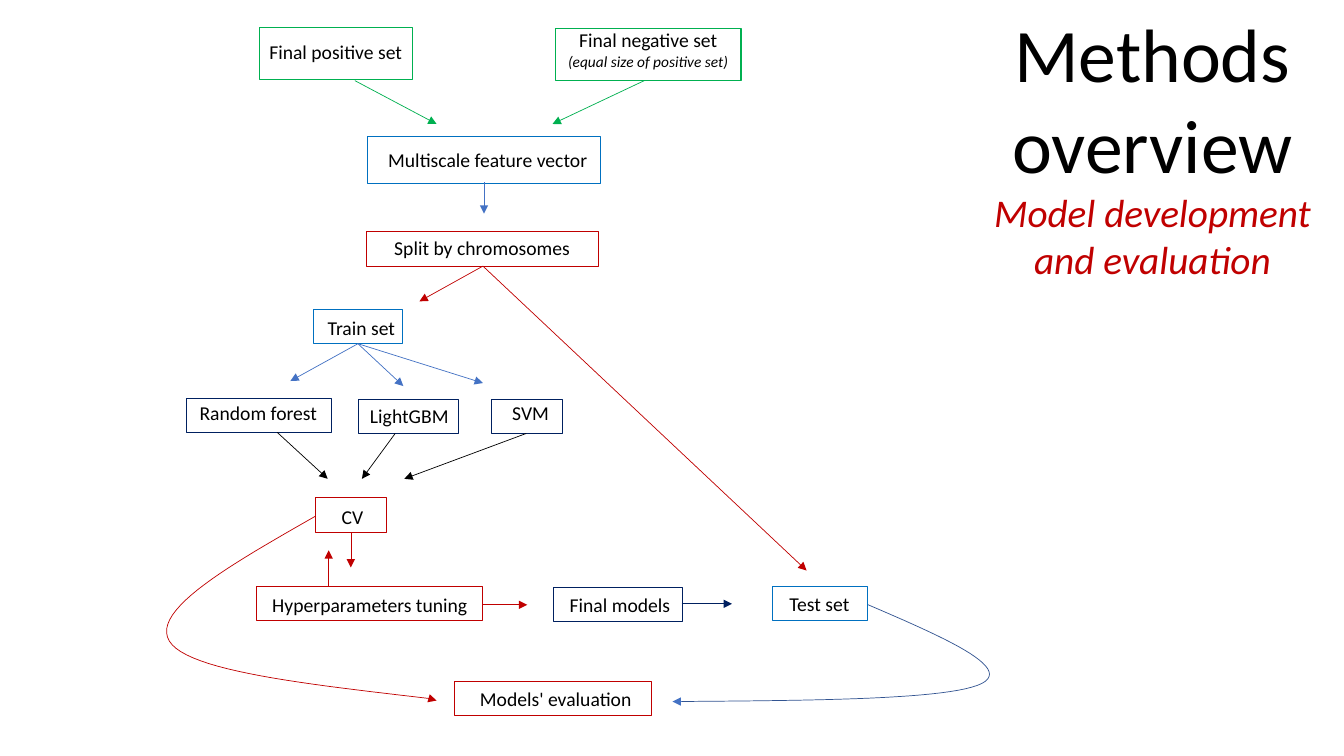
from pptx import Presentation
from pptx.dml.color import RGBColor
from pptx.enum.shapes import MSO_CONNECTOR, MSO_SHAPE
from pptx.enum.text import MSO_ANCHOR, PP_ALIGN
from pptx.oxml.ns import qn
from pptx.util import Inches, Pt
from lxml.etree import SubElement

FONT = "Calibri"
BLACK, GREEN, RED = "000000", "00B050", "C00000"
BLUE, NAVY, ARROW_BLUE, CURVE_BLUE = "0070C0", "002060", "4472C4", "325491"

# (text, size, colour, italic)
TITLE = [
    ("Methods overview", 54, BLACK, False),
    ("Model development and evaluation", 28, RED, True),
]
POSITIVE_SET = [("Final positive set", 14, BLACK, False)]
NEGATIVE_SET = [
    ("Final negative set", 14, BLACK, False),
    ("(equal size of positive set)", 11, BLACK, True),
]

# (lines, (left, top, width, height), line colour, text top)
SOURCE_BOXES = [
    (POSITIVE_SET, (2.57, 0.27, 1.52, 0.52), GREEN, 0.13),
    (NEGATIVE_SET, (5.51, 0.28, 1.84, 0.52), GREEN, 0),
]

# (text, (left, top, width, height), line colour, text left, text top)
STEP_BOXES = [
    ("Multiscale feature vector", (3.64, 1.35, 2.32, 0.47), BLUE, 0.21, 0.12),
    ("Split by chromosomes", (3.64, 2.3, 2.3, 0.34), RED, 0.27, 0.04),
    ("Train set", (3.11, 3.07, 0.88, 0.34), BLUE, 0.14, 0.06),
    ("Random forest", (1.85, 3.95, 1.44, 0.34), NAVY, 0.13, 0.03),
    ("LightGBM", (3.56, 3.96, 0.99, 0.34), NAVY, 0.11, 0.05),
    ("SVM", (4.88, 3.96, 0.7, 0.34), NAVY, 0.2, 0.02),
    ("CV", (3.13, 4.94, 0.7, 0.34), RED, 0.26, 0.07),
    ("Hyperparameters tuning", (2.54, 5.82, 2.25, 0.34), RED, 0.16, 0.06),
    ("Final models", (5.49, 5.83, 1.28, 0.34), NAVY, 0.16, 0.05),
    ("Test set", (7.66, 5.82, 0.94, 0.34), BLUE, 0.17, 0.05),
    ("Models' evaluation", (4.51, 6.76, 1.95, 0.34), RED, 0.25, 0.06),
]

# (start, end, colour)
ARROWS = [
    ((3.52, 0.8), (4.33, 1.23), GREEN),
    ((6.39, 0.8), (5.48, 1.23), GREEN),
    ((4.8, 1.81), (4.8, 2.12), ARROW_BLUE),
    ((4.79, 2.64), (4.16, 2.99), RED),
    ((4.79, 2.64), (8, 5.66), RED),
    ((3.55, 3.41), (2.88, 3.78), ARROW_BLUE),
    ((3.55, 3.41), (4, 3.83), ARROW_BLUE),
    ((3.55, 3.41), (4.79, 3.8), ARROW_BLUE),
    ((2.75, 4.29), (3.25, 4.75), BLACK),
    ((3.92, 4.3), (3.59, 4.75), BLACK),
    ((5.22, 4.3), (4.01, 4.75), BLACK),
    ((3.48, 5.29), (3.48, 5.63), RED),
    ((3.26, 5.82), (3.26, 5.46), RED),
    ((4.79, 6), (5.23, 6), RED),
    ((6.76, 5.99), (7.26, 5.99), NAVY),
]

# (Bezier points: start, then two controls and an end per segment; arrow tip; colours)
CURVES = [
    ([(3.13, 5.12), (2.31, 5.59), (1.49, 6.05), (1.68, 6.36),
      (1.86, 6.66), (3.06, 6.79), (4.26, 6.93)], (4.33, 6.95), RED, RED),
    ([(8.61, 6), (9.33, 6.31), (10.05, 6.62), (9.74, 6.78),
      (9.43, 6.94), (8.09, 6.95), (6.76, 6.96)], (6.67, 6.96), CURVE_BLUE, ARROW_BLUE),
]
CURVE_STEPS = 24


def rgb(color):
    return RGBColor.from_string(color)


def write_lines(text_frame, lines, alignment):
    text_frame.word_wrap = True
    text_frame.text = "\n".join(line[0] for line in lines)
    for paragraph, (_, size, color, italic) in zip(text_frame.paragraphs, lines):
        paragraph.alignment = alignment
        font = paragraph.runs[0].font
        font.name, font.size, font.italic = FONT, Pt(size), italic
        font.color.rgb = rgb(color)


def outline(shape, color, width):
    shape.line.color.rgb = rgb(color)
    shape.line.width = Pt(width)


def add_box(slide, lines, place, color, alignment, text_left, text_top):
    box = slide.shapes.add_shape(MSO_SHAPE.RECTANGLE, *map(Inches, place))
    box.shadow.inherit = False
    box.fill.background()
    outline(box, color, 0.75)
    text_frame = box.text_frame
    text_frame.vertical_anchor = MSO_ANCHOR.TOP
    text_frame.margin_left, text_frame.margin_top = Inches(text_left), Inches(text_top)
    text_frame.margin_right = text_frame.margin_bottom = 0
    write_lines(text_frame, lines, alignment)


def add_arrow(slide, start, end, color):
    arrow = slide.shapes.add_connector(MSO_CONNECTOR.STRAIGHT, *map(Inches, start + end))
    outline(arrow, color, 0.5)
    properties = arrow._element.spPr
    SubElement(properties.find(qn("a:ln")), qn("a:tailEnd"), type="triangle")
    SubElement(properties, qn("a:effectLst"))


def bezier_points(points):
    """Sample a chain of cubic Bezier segments, leaving out its first point."""
    samples = []
    for first in range(0, len(points) - 1, 3):
        segment = points[first:first + 4]
        for step in range(1, CURVE_STEPS + 1):
            t = step / CURVE_STEPS
            weights = ((1 - t) ** 3, 3 * t * (1 - t) ** 2, 3 * t ** 2 * (1 - t), t ** 3)
            samples.append(tuple(sum(w * value for w, value in zip(weights, axis))
                                 for axis in zip(*segment)))
    return samples


def add_curved_arrow(slide, points, tip, curve_color, head_color):
    builder = slide.shapes.build_freeform(*map(Inches, points[0]))
    builder.add_line_segments(
        [tuple(map(Inches, point)) for point in bezier_points(points)], close=False)
    curve = builder.convert_to_shape()
    curve.shadow.inherit = False
    curve.fill.background()
    outline(curve, curve_color, 0.5)
    add_arrow(slide, points[-1], tip, head_color)


def main():
    presentation = Presentation()
    presentation.slide_width, presentation.slide_height = Inches(13.33), Inches(7.5)
    slide = presentation.slides.add_slide(presentation.slide_layouts[6])

    title = slide.shapes.add_textbox(*map(Inches, (9.48, 0.02, 3.9, 3.77)))
    write_lines(title.text_frame, TITLE, PP_ALIGN.CENTER)

    for lines, place, color, text_top in SOURCE_BOXES:
        add_box(slide, lines, place, color, PP_ALIGN.CENTER, 0, text_top)
    for text, place, color, text_left, text_top in STEP_BOXES:
        lines = [(text, 14, BLACK, False)]
        add_box(slide, lines, place, color, PP_ALIGN.LEFT, text_left, text_top)
    for arrow in ARROWS:
        add_arrow(slide, *arrow)
    for curve in CURVES:
        add_curved_arrow(slide, *curve)

    presentation.save("out.pptx")


if __name__ == "__main__":
    main()
